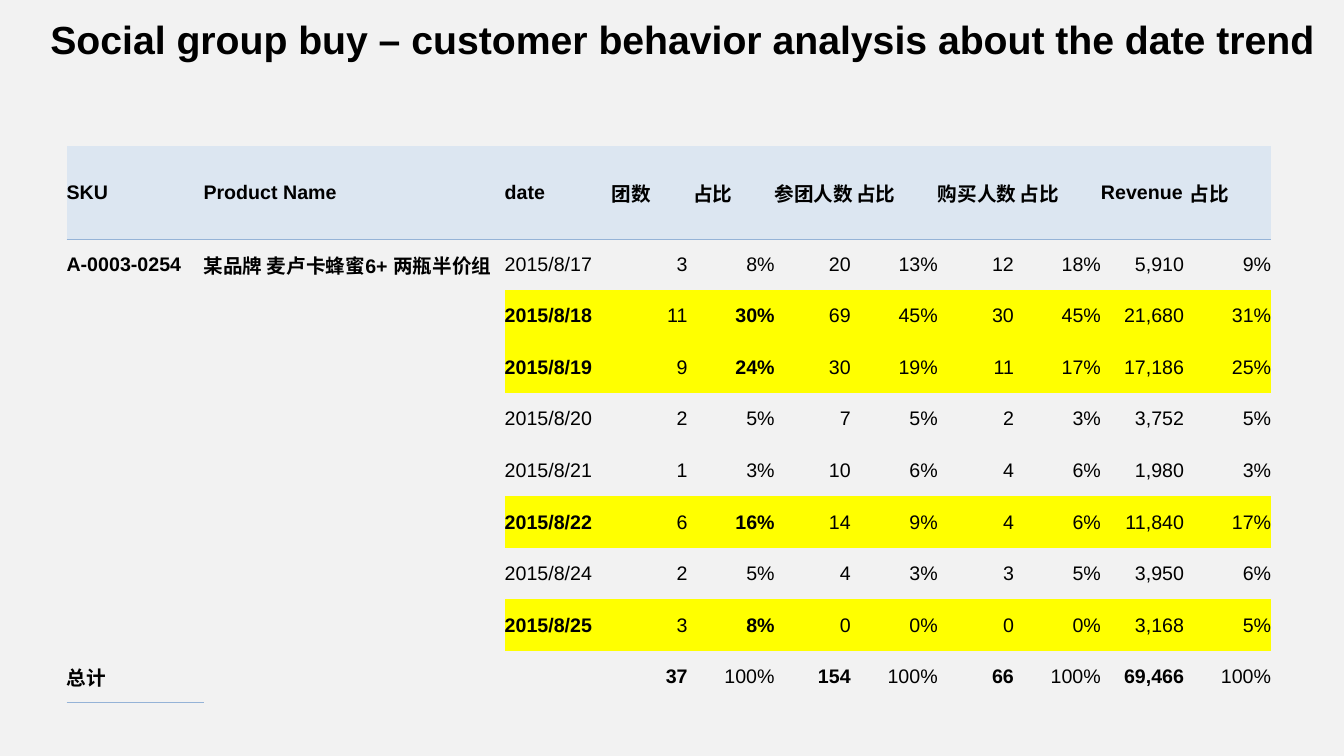
from dataclasses import dataclass

from lxml import etree
from pptx import Presentation
from pptx.dml.color import RGBColor
from pptx.enum.text import MSO_ANCHOR, MSO_AUTO_SIZE, PP_ALIGN
from pptx.oxml.ns import qn
from pptx.util import Inches, Pt

TOP, MIDDLE = MSO_ANCHOR.TOP, MSO_ANCHOR.MIDDLE
LEFT, RIGHT = PP_ALIGN.LEFT, PP_ALIGN.RIGHT
FIT_SHAPE = MSO_AUTO_SIZE.SHAPE_TO_FIT_TEXT
PLAIN_TABLE_STYLE = "{2D5ABB26-0587-4C30-8999-92F81FD0307C}"


@dataclass(frozen=True)
class Theme:
    """Colours, font and type sizes of the slide."""
    background: str = "F2F2F2"
    text: str = "000000"
    header: str = "DCE6F1"
    highlight: str = "FFFF00"
    rule: str = "95B3D7"
    font: str = "Arial"
    title_size: int = 28
    table_size: int = 14
    rule_width: float = 0.5


THEME = Theme()
TITLE = "Social group buy – customer behavior analysis about the date trend"
HEADERS = ["SKU", "Product Name", "date", "团数", "占比", "参团人数", "占比",
           "购买人数", "占比", "Revenue", "占比"]
COLUMN_WIDTHS = [1.36, 2.99, 1.06] + [0.81] * 6 + [0.88, 0.81]
HEADER_HEIGHT = 0.92
PRODUCT = ["A-0003-0254", "某品牌 麦卢卡蜂蜜6+ 两瓶半价组"]
DAYS = [
    ("2015/8/17", (3, 20, 12, 5910)),
    ("2015/8/18", (11, 69, 30, 21680)),
    ("2015/8/19", (9, 30, 11, 17186)),
    ("2015/8/20", (2, 7, 2, 3752)),
    ("2015/8/21", (1, 10, 4, 1980)),
    ("2015/8/22", (6, 14, 4, 11840)),
    ("2015/8/24", (2, 4, 3, 3950)),
    ("2015/8/25", (3, 0, 0, 3168)),
]
HIGHLIGHTED_DATES = {"2015/8/18", "2015/8/19", "2015/8/22", "2015/8/25"}
TOTALS = [sum(column) for column in zip(*(values for _, values in DAYS))]
DATE_COLUMN, FIRST_VALUE_COLUMN = 2, 3
GROUP_SHARE_COLUMN = 4


def format_paragraph(paragraph, size, bold, alignment=LEFT):
    """Apply the theme's font to a paragraph."""
    paragraph.alignment = alignment
    paragraph.font.name = THEME.font
    paragraph.font.size = Pt(size)
    paragraph.font.bold = bold
    paragraph.font.color.rgb = RGBColor.from_string(THEME.text)


def fill_cell(cell, text, bold=False, alignment=LEFT, color=None):
    """Write one table cell with its font, alignment and fill."""
    cell.margin_left = cell.margin_right = 0
    cell.margin_top = cell.margin_bottom = 0
    cell.vertical_anchor = MIDDLE
    cell.text = text
    format_paragraph(cell.text_frame.paragraphs[0], THEME.table_size, bold, alignment)
    if color:
        cell.fill.solid()
        cell.fill.fore_color.rgb = RGBColor.from_string(color)
    else:
        cell.fill.background()


def add_bottom_rule(cell):
    """Draw a thin line under a table cell."""
    line = etree.Element(qn("a:lnB"), w=str(Pt(THEME.rule_width)))
    fill = etree.SubElement(line, qn("a:solidFill"))
    etree.SubElement(fill, qn("a:srgbClr"), val=THEME.rule)
    cell._tc.get_or_add_tcPr().insert(0, line)


def value_texts(values):
    """Return each value followed by its share of the column total."""
    return [text for value, total in zip(values, TOTALS)
            for text in (f"{value:,} ", f"{value / total:.0%}")]


def add_title(slide, left, top, width, height):
    """Place the slide title in its placeholder."""
    title = slide.shapes.title
    title.left, title.top = Inches(left), Inches(top)
    title.width, title.height = Inches(width), Inches(height)
    frame = title.text_frame
    frame.text = TITLE
    frame.word_wrap = True
    frame.auto_size = FIT_SHAPE
    frame.vertical_anchor = TOP
    format_paragraph(frame.paragraphs[0], THEME.title_size, True)


def fill_header(table):
    """Write the shaded header row."""
    for column, heading in enumerate(HEADERS):
        cell = table.cell(0, column)
        fill_cell(cell, heading, bold=True, color=THEME.header)
        add_bottom_rule(cell)


def fill_day(table, row, date, values):
    """Write one day's figures, highlighting the busy days."""
    busy = date in HIGHLIGHTED_DATES
    labels = PRODUCT if row == 1 else ["", ""]
    for column, text in enumerate(labels):
        fill_cell(table.cell(row, column), text, bold=True)
    color = THEME.highlight if busy else None
    fill_cell(table.cell(row, DATE_COLUMN), date, bold=busy, color=color)
    for column, text in enumerate(value_texts(values), FIRST_VALUE_COLUMN):
        bold = busy and column == GROUP_SHARE_COLUMN
        fill_cell(table.cell(row, column), text, bold, RIGHT, color)


def fill_totals(table, row):
    """Write the closing row of totals."""
    for column, text in enumerate(["总计", "", ""]):
        fill_cell(table.cell(row, column), text, bold=True)
    for column, text in enumerate(value_texts(TOTALS), FIRST_VALUE_COLUMN):
        fill_cell(table.cell(row, column), text, not text.endswith("%"), RIGHT)
    add_bottom_rule(table.cell(row, 0))


def add_trend_table(slide, left, top, width, height):
    """Place the table of daily figures in the given box."""
    row_count = len(DAYS) + 2
    frame = slide.shapes.add_table(row_count, len(HEADERS), Inches(left),
                                   Inches(top), Inches(width), Inches(height))
    table = frame.table
    for style in frame.element.iter(qn("a:tableStyleId")):
        style.text = PLAIN_TABLE_STYLE
    table.horz_banding = False
    for column, share in zip(table.columns, COLUMN_WIDTHS):
        column.width = Inches(width * share / sum(COLUMN_WIDTHS))
    for row in table.rows:
        row.height = Inches((height - HEADER_HEIGHT) / (row_count - 1))
    table.rows[0].height = Inches(HEADER_HEIGHT)
    fill_header(table)
    for row, (date, values) in enumerate(DAYS, 1):
        fill_day(table, row, date, values)
    fill_totals(table, row_count - 1)


def main():
    """Build the slide and save it."""
    presentation = Presentation()
    presentation.slide_width, presentation.slide_height = Inches(13.33), Inches(7.5)
    slide = presentation.slides.add_slide(presentation.slide_layouts.get_by_name("Title Only"))
    slide.background.fill.solid()
    slide.background.fill.fore_color.rgb = RGBColor.from_string(THEME.background)
    add_title(slide, 0.4, 0.1, 12.74, 1.04)
    add_trend_table(slide, 0.66, 1.45, 11.95, 5.52)
    presentation.save("out.pptx")


if __name__ == "__main__":
    main()
